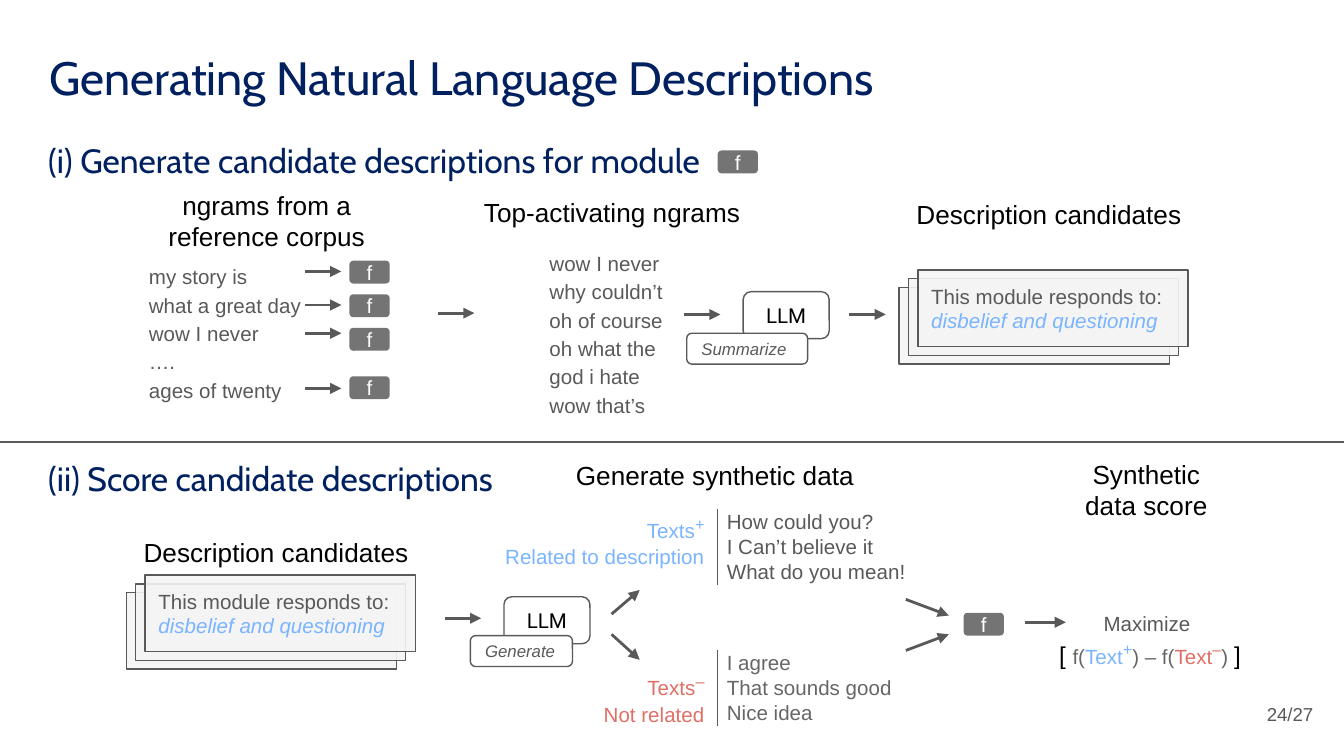
import pptx
import pptx.util
import pptx.dml.color
import pptx.enum.shapes
import pptx.enum.text
import pptx.oxml
import pptx.oxml.ns

Inches = pptx.util.Inches
ALIGN = pptx.enum.text.PP_ALIGN
ANCHOR = pptx.enum.text.MSO_ANCHOR
SHAPE = pptx.enum.shapes.MSO_SHAPE

NAVY, GREY, MID_GREY, BLACK, WHITE = "002060", "595959", "666666", "000000", "FFFFFF"
BLUE, RED, MODULE_FILL, CARD_FILL = "7AB4FF", "E06F66", "747474", "F4F4F4"

BODY = {"name": "Arial", "size": 11, "color": GREY}
LABEL = {"name": "Arial", "size": 14, "color": BLACK}
HEADING = {"name": "Cabin", "size": 18, "color": NAVY}
RAISED = {"size": 15, "raised": True}


def color(hex_string):
    return pptx.dml.color.RGBColor.from_string(hex_string)


def style(span, formats):
    for key, value in formats.items():
        if key == "color":
            span.font.color.rgb = color(value)
        elif key == "size":
            span.font.size = pptx.util.Pt(value)
        elif key == "raised":
            span._r.get_or_add_rPr().set("baseline", "30000")
        else:
            setattr(span.font, key, value)


def write(frame, lines, formats, align=ALIGN.LEFT, anchor=ANCHOR.TOP, spacing=1.0):
    """Each line is a string or a list of (text, format changes); "\n" breaks a line."""
    margins = dict.fromkeys(("margin_left", "margin_top", "margin_right", "margin_bottom"), Inches(0.1))
    settings = {"word_wrap": True, "vertical_anchor": anchor, **margins}
    for key, value in settings.items():
        setattr(frame, key, value)
    for index, line in enumerate(lines):
        para = frame.add_paragraph() if index else frame.paragraphs[0]
        para.alignment, para.line_spacing = align, spacing
        for text, changes in [(line, {})] if isinstance(line, str) else line:
            if text == "\n":
                para.add_line_break()
                continue
            span = para.add_run()
            span.text = text
            style(span, {**formats, **changes})


def add_text(page, box, lines, formats, **layout):
    frame = page.shapes.add_textbox(*map(Inches, box)).text_frame
    write(frame, lines, formats, **layout)


def add_box(page, kind, box, fill=None, line=GREY, alpha=None):
    shape = page.shapes.add_shape(kind, *map(Inches, box))
    shape.shadow.inherit = False
    if fill:
        shape.fill.solid()
        shape.fill.fore_color.rgb = color(fill)
    else:
        shape.fill.background()
    if alpha:
        tint = shape.fill._xPr.find(".//" + pptx.oxml.ns.qn("a:srgbClr"))
        tint.append(pptx.oxml.parse_xml(
            f'<a:alpha {pptx.oxml.ns.nsdecls("a")} val="{alpha * 1000}"/>'))
    if line:
        shape.line.color.rgb = color(line)
        shape.line.width = pptx.util.Pt(0.75)
    else:
        shape.line.fill.background()
    return shape


def add_line(page, x1, y1, x2, y2, arrow=False):
    line = page.shapes.add_connector(
        pptx.enum.shapes.MSO_CONNECTOR.STRAIGHT, *map(Inches, (x1, y1, x2, y2)))
    line.line.color.rgb = color(GREY)
    line.line.width = pptx.util.Pt(1.5 if arrow else 0.75)
    names = pptx.oxml.ns.nsdecls("a")
    if arrow:
        line.line._get_or_add_ln().append(
            pptx.oxml.parse_xml(f'<a:tailEnd {names} type="triangle"/>'))
    line._element.spPr.append(pptx.oxml.parse_xml(f"<a:effectLst {names}/>"))


def add_arrow(page, left, top, width=0.27, rise=0):
    add_line(page, left, top, left + width, top + rise, arrow=True)


def add_module(page, left, top):
    shape = add_box(page, SHAPE.ROUNDED_RECTANGLE, (left, top, 0.3, 0.17), MODULE_FILL, None)
    write(shape.text_frame, ["f"], {**BODY, "color": WHITE}, align=ALIGN.CENTER, anchor=ANCHOR.MIDDLE)


def add_model(page, left, top, task, task_box):
    """A language model with a tag for its task, placed relative to the model."""
    model = add_box(page, SHAPE.ROUNDED_RECTANGLE, (left, top, 0.64, 0.35))
    write(model.text_frame, ["LLM"], {"name": "Roboto", "size": 11, "color": BLACK},
          align=ALIGN.CENTER, anchor=ANCHOR.MIDDLE)
    dx, dy, width = task_box
    tag = add_box(page, SHAPE.ROUNDED_RECTANGLE, (left + dx, top + dy, width, 0.23), WHITE)
    write(tag.text_frame, [task], {**BODY, "size": 9, "italic": True}, anchor=ANCHOR.MIDDLE)


def add_cards(page, left, top):
    """Three stacked cards, the front one at the upper right."""
    for step in range(3):
        card = add_box(page, SHAPE.RECTANGLE,
                       (left + 0.07 * step, top - 0.13 * step / 2, 2.01, 0.57), CARD_FILL, alpha=90)
    write(card.text_frame, [[("This module responds to:", {}), ("\n", {}),
                             ("disbelief and questioning", {"color": BLUE, "italic": True})]], BODY)


def add_examples(page, left, top, lines, text_color):
    add_text(page, (left, top, 1.72, 0.76), lines, {**BODY, "color": text_color})
    add_line(page, left + 0.03, top + 0.1, left + 0.03, top + 0.66)


def add_group_label(page, right, top, width, sign, caption, text_color):
    add_text(page, (right - width, top, width, 0.64), [[("Texts", {}), (sign, RAISED)], caption],
             {**BODY, "color": text_color}, align=ALIGN.RIGHT)


def add_label(page, left, top, width, *lines, height=0.44):
    add_text(page, (left, top, width, height), lines, LABEL, align=ALIGN.CENTER)


def generate_region(page, left, top):
    add_text(page, (left + 0.26, top, 5.27, 0.5),
             ["(i) Generate candidate descriptions for module"], HEADING)
    add_module(page, left + 5.34, top + 0.18)

    # Reference ngrams, each passed through the module
    add_label(page, left + 0.77, top + 0.37, 2.43, "ngrams from a", "reference corpus", height=0.67)
    add_text(page, (left + 1.01, top + 0.9, 1.63, 1.24),
             ["my story is", "what a great day", "wow I never", "….", "ages of twenty"],
             BODY, align=ALIGN.JUSTIFY, spacing=1.15)
    for arrow_top, module_top in ((1.08, 1), (1.33, 1.25), (1.54, 1.5), (1.95, 1.86)):
        add_arrow(page, left + 2.27, top + arrow_top)
        add_module(page, left + 2.6, top + module_top)
    add_arrow(page, left + 3.26, top + 1.39)

    # Top ngrams
    add_label(page, left + 3.34, top + 0.42, 2.43, "Top-activating ngrams")
    add_text(page, (left + 3.99, top + 0.8, 1.1, 1.45),
             ["wow I never", "why couldn’t", "oh of course", "oh what the", "god i hate", "wow that’s"],
             BODY, align=ALIGN.JUSTIFY, spacing=1.15)

    # Summary and candidates
    add_arrow(page, left + 5.09, top + 1.4)
    add_model(page, left + 5.53, top + 1.23, "Summarize", (-0.42, 0.31, 0.9))
    add_arrow(page, left + 6.32, top + 1.4)
    add_label(page, left + 6.59, top + 0.44, 2.43, "Description candidates")
    add_cards(page, left + 6.69, top + 1.2)


def score_region(page, left, top):
    add_text(page, (left + 0.26, top, 4.22, 0.5), ["(ii) Score candidate descriptions"], HEADING)

    # Candidates
    add_label(page, left + 0.84, top + 0.58, 2.43, "Description candidates")
    add_cards(page, left + 0.94, top + 1.1)
    add_arrow(page, left + 3.31, top + 1.29)
    add_model(page, left + 3.75, top + 1.13, "Generate", (-0.25, 0.29, 0.76))

    # Synthetic texts
    add_label(page, left + 4.05, top + 0.01, 2.54, "Generate synthetic data")
    add_arrow(page, left + 4.55, top + 1.26, 0.21, -0.18)
    add_arrow(page, left + 4.55, top + 1.41, 0.21, 0.19)
    add_group_label(page, left + 5.34, top + 0.39, 2.01, "+", "Related to description", BLUE)
    add_examples(page, left + 5.31, top + 0.38,
                 ["How could you?", "I Can’t believe it", "What do you mean!"], GREY)
    add_group_label(page, left + 5.34, top + 1.56, 1.72, "–", "Not related", RED)
    add_examples(page, left + 5.31, top + 1.43, ["I agree", "That sounds good", "Nice idea"], MID_GREY)

    # Score
    add_arrow(page, left + 6.74, top + 1.15, 0.32, 0.12)
    add_arrow(page, left + 6.74, top + 1.53, 0.32, -0.12)
    add_module(page, left + 7.17, top + 1.25)
    add_arrow(page, left + 7.63, top + 1.32, 0.3)
    add_label(page, left + 7.88, top, 1.3, "Synthetic data score", height=0.67)
    bracket, plain = {"size": 13, "color": BLACK}, {"color": MID_GREY}
    add_text(page, (left + 7.6, top + 1.14, 1.87, 0.64), [[
        ("Maximize", {}), ("\n", {}), (" ", {}), ("[ ", bracket), ("f(", plain),
        ("Text", {"color": BLUE}), ("+", {**RAISED, "color": BLUE}), (") – f(", plain),
        ("Text", {"color": RED}), ("–", {**RAISED, "color": RED}), (") ", plain),
        ("]", bracket)]], BODY, align=ALIGN.CENTER)


def add_title(page, box, text):
    title = page.shapes.title
    title.left, title.top, title.width, title.height = map(Inches, box)
    title.text_frame.auto_size = pptx.enum.text.MSO_AUTO_SIZE.NONE
    write(title.text_frame, [text], {**HEADING, "size": 25})


def main():
    deck = pptx.Presentation()
    deck.slide_width = Inches(10)
    deck.slide_height = deck.slide_width * 9 // 16
    page = deck.slides.add_slide(deck.slide_layouts[5])
    add_title(page, (0.27, 0.26, 9.45, 0.62), "Generating Natural Language Descriptions")
    generate_region(page, 0, 0.94)
    add_line(page, -0.06, 3.29, 10.05, 3.29)
    score_region(page, 0, 3.31)
    # Page number
    add_text(page, (9.27, 5.1, 0.6, 0.43), ["24/27"], {**BODY, "size": 10},
             align=ALIGN.RIGHT, anchor=ANCHOR.MIDDLE)
    deck.save("out.pptx")


if __name__ == "__main__":
    main()
